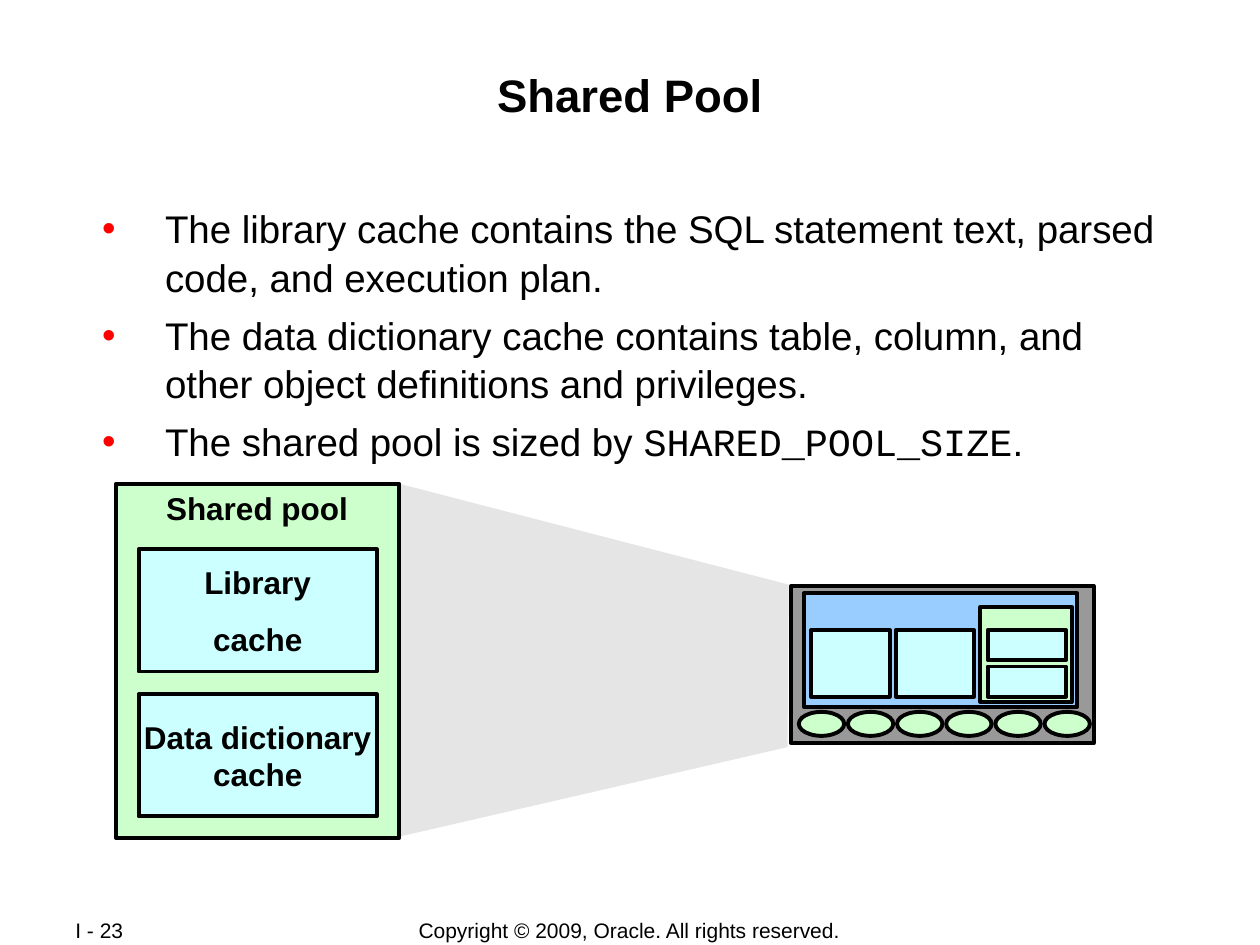
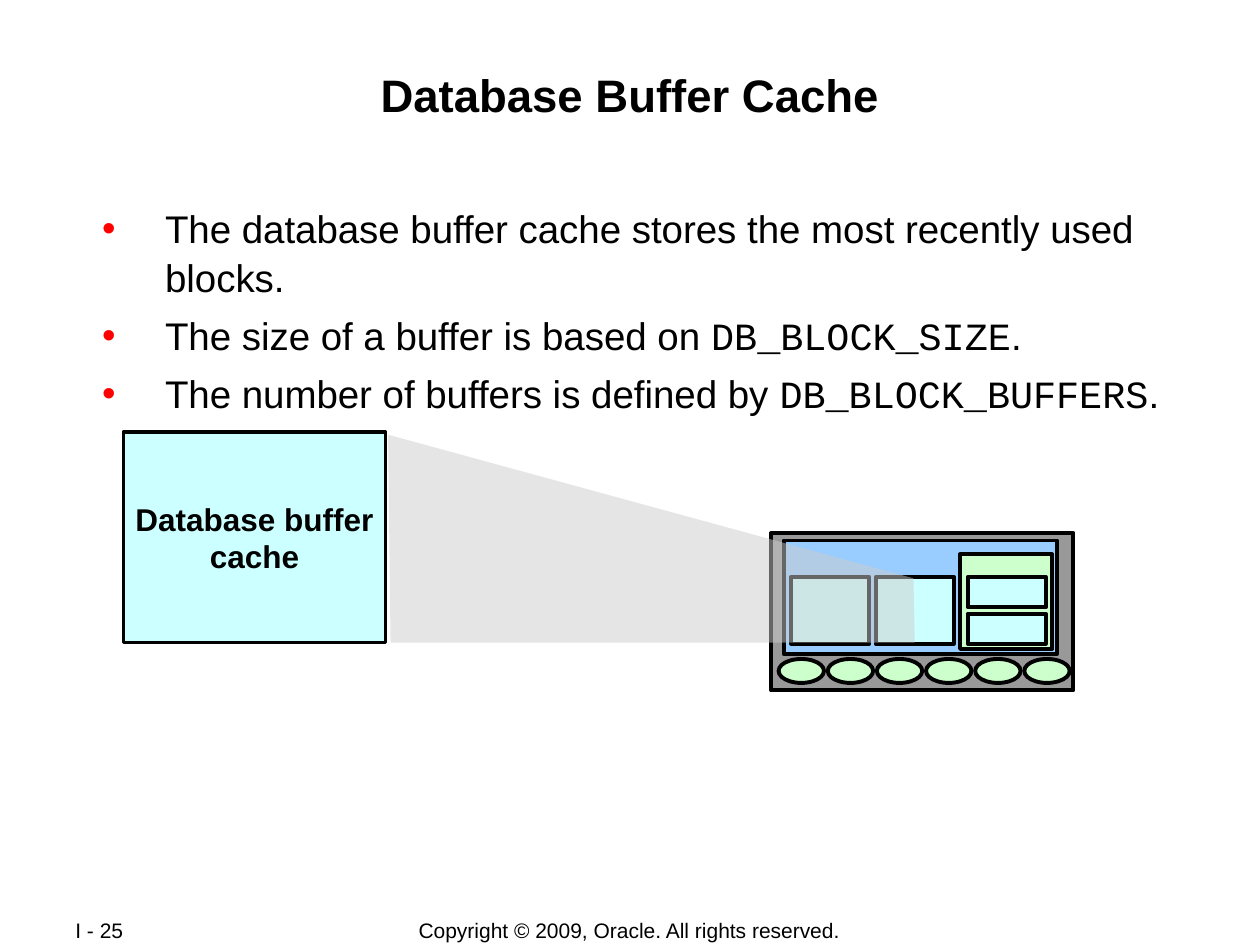
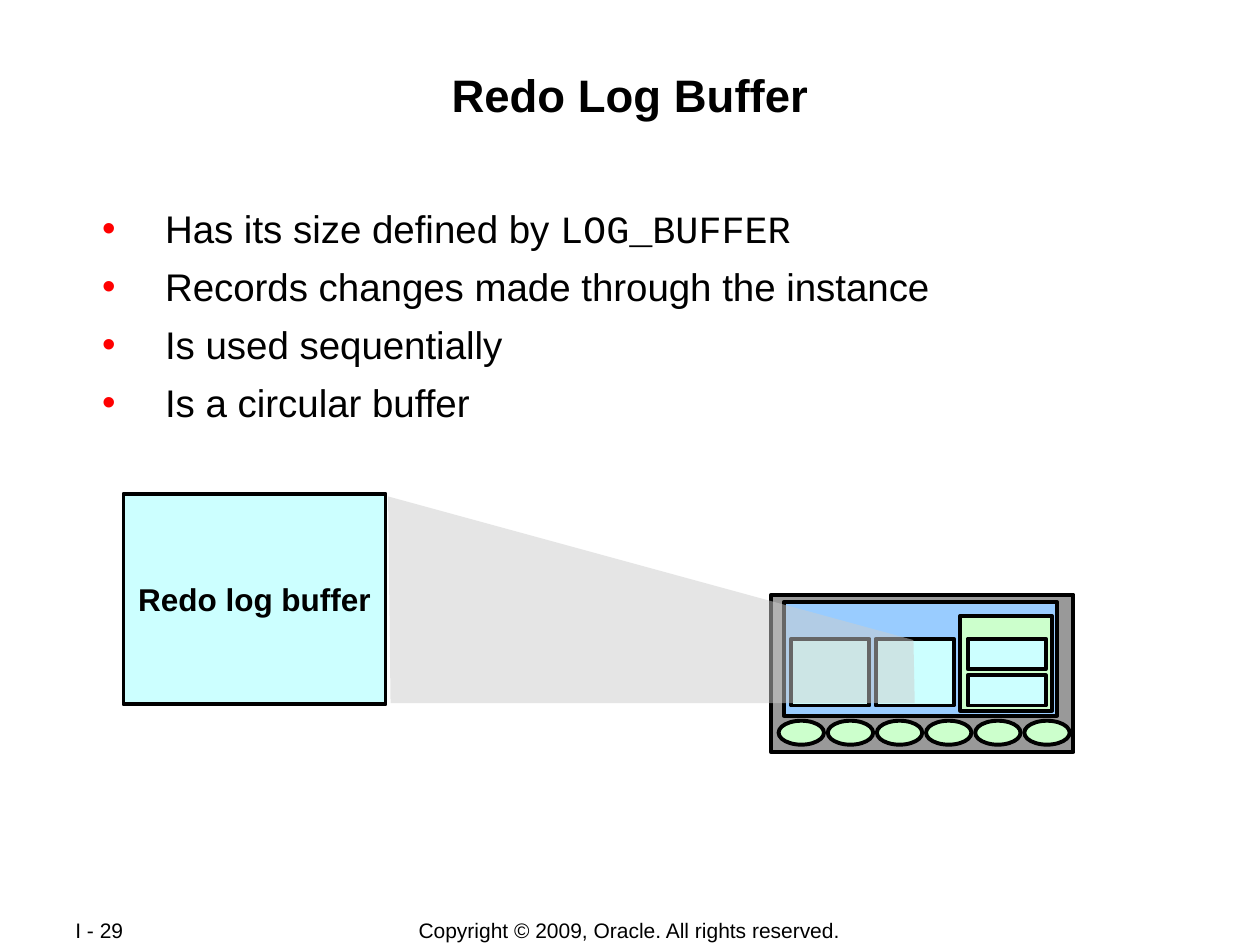
import pptx
import pptx.util
import pptx.dml.color
import pptx.enum.shapes
import pptx.enum.text
import pptx.oxml
import pptx.oxml.ns

Inches = pptx.util.Inches
Pt = pptx.util.Pt
RGB = pptx.dml.color.RGBColor.from_string
ALIGN = pptx.enum.text.PP_ALIGN
ANCHOR = pptx.enum.text.MSO_ANCHOR
RECT = pptx.enum.shapes.MSO_SHAPE.RECTANGLE
OVAL = pptx.enum.shapes.MSO_SHAPE.OVAL
qn = pptx.oxml.ns.qn

COLORS = {
    "text": "000000",
    "bullet": "FF0000",
    "beam": "CCCCCC",
    "instance": "999999",
    "sga": "99CCFF",
    "pool": "CCFFCC",
    "cache": "CCFFFF",
}
FONT = "Arial"
CODE_FONT = "Courier New"
COPYRIGHT = "Copyright © 2009, Oracle. All rights reserved."

INSTANCE_PARTS = [
    (RECT, 0, 0, 2.4, 1.25, "instance"),
    (RECT, 0.1, 0.06, 2.17, 0.9, "sga"),
    (RECT, 0.83, 0.35, 0.62, 0.53, "cache"),
    (RECT, 0.16, 0.35, 0.62, 0.53, "cache"),
    (RECT, 1.5, 0.17, 0.73, 0.75, "pool"),
    (RECT, 1.56, 0.64, 0.62, 0.24, "cache"),
    (RECT, 1.56, 0.35, 0.62, 0.24, "cache"),
]
for process in range(6):
    INSTANCE_PARTS.append((OVAL, 0.06 + 0.39 * process, 1, 0.36, 0.19, "pool"))

PAGES = [
    {
        "number": "I - 23",
        "title": "Shared Pool",
        "bullets": [
            "The library cache contains the SQL statement text, parsed code, and execution plan.",
            "The data dictionary cache contains table, column, and other object definitions and privileges.",
            "The shared pool is sized by `SHARED_POOL_SIZE`.",
        ],
        "bullets_height": 2.01,
        "layers": ["beam", "details", "instance"],
        "beam": [(3.17, 3.84), (3.17, 6.64), (6.25, 5.93), (6.26, 4.64)],
        "details": [
            (0.92, 3.84, 2.25, 2.81, "pool", ""),
            (1.1, 5.51, 1.89, 0.97, "cache", "Data dictionary\vcache"),
            (1.1, 4.36, 1.89, 0.97, "cache", "Library\ncache"),
        ],
        "heading": "Shared pool",
        "instance": (6.28, 4.65),
    },
    {
        "number": "I - 25",
        "title": "Database Buffer Cache",
        "bullets": [
            "The database buffer cache stores the most recently used blocks.",
            "The size of a buffer is based on `DB_BLOCK_SIZE`.",
            "The number of buffers is defined by `DB_BLOCK_BUFFERS`.",
        ],
        "bullets_height": 1.65,
        "layers": ["details", "instance", "beam"],
        "beam": [(3.1, 5.1), (7.26, 5.1), (7.25, 4.59), (3.08, 3.45)],
        "details": [(0.98, 3.43, 2.08, 1.67, "cache", "Database buffer\vcache")],
        "heading": "",
        "instance": (6.12, 4.23),
    },
    {
        "number": "I - 29",
        "title": "Redo Log Buffer",
        "bullets": [
            "Has its size defined by `LOG_BUFFER`",
            "Records changes made through the instance",
            "Is used sequentially",
            "Is a circular buffer",
        ],
        "bullets_height": 1.72,
        "layers": ["details", "instance", "beam"],
        "beam": [(3.1, 5.58), (7.26, 5.58), (7.25, 5.08), (3.08, 3.94)],
        "details": [(0.98, 3.92, 2.08, 1.67, "cache", "Redo log buffer")],
        "heading": "",
        "instance": (6.12, 4.72),
    },
]


def write_text(frame, text, size, bold, align, anchor, wrap):
    frame.text = text
    frame.word_wrap = wrap
    frame.auto_size = pptx.enum.text.MSO_AUTO_SIZE.NONE
    frame.vertical_anchor = anchor
    for index, paragraph in enumerate(frame.paragraphs):
        paragraph.alignment = align
        paragraph.space_before = Pt(11.2 if index else 0)
        for run in paragraph.runs:
            run.font.name = FONT
            run.font.size = Pt(size)
            run.font.bold = bold
            run.font.color.rgb = RGB(COLORS["text"])


def add_part(shapes, kind, left, top, width, height, color):
    part = shapes.add_shape(kind, Inches(left), Inches(top), Inches(width), Inches(height))
    part.shadow.inherit = False
    part.fill.solid()
    part.fill.fore_color.rgb = RGB(COLORS[color])
    part.line.color.rgb = RGB(COLORS["text"])
    part.line.width = Pt(2.25)
    return part


deck = pptx.Presentation()
deck.slide_width = Inches(10)
deck.slide_height = Inches(7.5)

for page in PAGES:
    slide = deck.slides.add_slide(deck.slide_layouts[1])
    title = slide.shapes.title
    bullets = slide.placeholders[1]

    for holder, top, height, inset in (
        (title, 0.48, 0.96, 0.05),
        (bullets, 1.58, page["bullets_height"], 0.03),
    ):
        holder.left, holder.top = Inches(0.67), Inches(top)
        holder.width, holder.height = Inches(8.66), Inches(height)
        frame = holder.text_frame
        frame.margin_left = frame.margin_right = frame.margin_bottom = Inches(0.01)
        frame.margin_top = Inches(inset)

    write_text(title.text_frame, page["title"], 26, True, ALIGN.CENTER, ANCHOR.TOP, True)

    frame = bullets.text_frame
    frame.word_wrap = True
    frame.auto_size = pptx.enum.text.MSO_AUTO_SIZE.NONE
    frame.vertical_anchor = ANCHOR.TOP
    for index, bullet in enumerate(page["bullets"]):
        paragraph = frame.add_paragraph() if index else frame.paragraphs[0]
        paragraph.level = 1
        paragraph.alignment = ALIGN.LEFT
        paragraph.line_spacing = 1.05
        paragraph.space_before = Pt(5.5 if index else 0)
        properties = paragraph._p.get_or_add_pPr()
        properties.set("marL", str(Inches(0.63)))
        properties.set("indent", str(Inches(-0.5)))
        bullet_color = pptx.oxml.ns.nsdecls("a")
        for xml in (
            f'<a:buClr {bullet_color}><a:srgbClr val="{COLORS["bullet"]}"/></a:buClr>',
            f'<a:buFont {bullet_color} typeface="{FONT}"/>',
            f'<a:buChar {bullet_color} char="•"/>',
        ):
            properties.append(pptx.oxml.parse_xml(xml))
        for position, words in enumerate(bullet.split("`")):
            if words:
                run = paragraph.add_run()
                run.text = words
                run.font.name = CODE_FONT if position % 2 else FONT
                run.font.size = Pt(22)
                run.font.color.rgb = RGB(COLORS["text"])

    for layer in page["layers"]:
        if layer == "beam":
            corners = [(Inches(x), Inches(y)) for x, y in page["beam"]]
            outline = slide.shapes.build_freeform(*corners[0])
            outline.add_line_segments(corners[1:], close=True)
            beam = outline.convert_to_shape()
            beam.shadow.inherit = False
            beam.line.fill.background()
            beam.fill.solid()
            beam.fill.fore_color.rgb = RGB(COLORS["beam"])
            beam_color = beam._element.spPr.find(qn("a:solidFill"))[0]
            beam_color.append(beam_color.makeelement(qn("a:alpha"), {"val": "50000"}))
        elif layer == "details":
            for left, top, width, height, color, label in page["details"]:
                detail = add_part(slide.shapes, RECT, left, top, width, height, color)
                if label:
                    write_text(detail.text_frame, label, 18, True, ALIGN.CENTER, ANCHOR.MIDDLE, False)
            if page["heading"]:
                heading = slide.shapes.add_textbox(Inches(1), Inches(3.83), Inches(2.08), Inches(0.4))
                write_text(heading.text_frame, page["heading"], 18, True, ALIGN.CENTER, ANCHOR.TOP, True)
        else:
            instance = slide.shapes.add_group_shape()
            origin_x, origin_y = page["instance"]
            for kind, x, y, width, height, color in INSTANCE_PARTS:
                add_part(instance.shapes, kind, origin_x + x, origin_y + y, width, height, color)

    for text, left, width, align in (
        (COPYRIGHT, 2.75, 4.49, ALIGN.CENTER),
        (page["number"], 0.5, 1.06, ALIGN.LEFT),
    ):
        footer = slide.shapes.add_textbox(Inches(left), Inches(7.28), Inches(width), Inches(0.21))
        write_text(footer.text_frame, text, 12, False, align, ANCHOR.MIDDLE, True)

deck.save("out.pptx")
